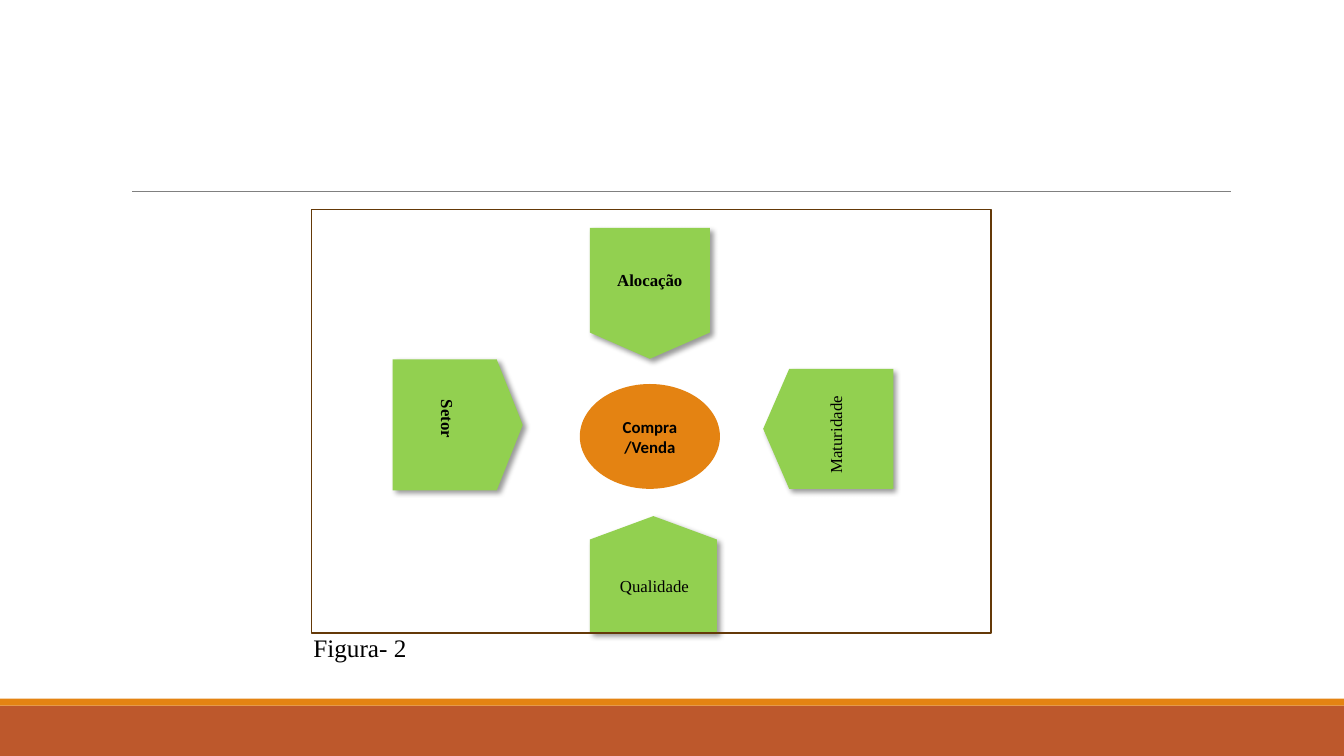
import pptx
import pptx.util
import pptx.dml.color
import pptx.enum.shapes
import pptx.enum.text
import pptx.oxml
import pptx.oxml.ns

RGBColor = pptx.dml.color.RGBColor
SHAPES = pptx.enum.shapes.MSO_SHAPE
BLACK = RGBColor(0x00, 0x00, 0x00)
GREEN = RGBColor(0x92, 0xD0, 0x50)
ORANGE = RGBColor(0xE4, 0x83, 0x12)
RUST = RGBColor(0xBD, 0x58, 0x2C)
BROWN = RGBColor(0x64, 0x39, 0x08)
GRAY = RGBColor(0x80, 0x80, 0x80)
SERIF = "Times New Roman"

# Boxes are left, top, width, height in percent of the slide's size.
FOOTER_BARS = [((0, 93.33, 100, 6.67), RUST), ((0, 92.4, 100, 0.93), ORANGE)]
RULE = (9.83, 25.33, 91.6, 25.33)  # start and end points
ARROWS = [  # box, rotation, text inside
    ((57.16, 48.13, 8.93, 17.2), 90, ""),
    ((43.89, 30.13, 8.93, 17.33), 0, "Alocação"),
    ((29.18, 47.6, 9.75, 17.2), 270, ""),
    ((43.89, 68.27, 9.45, 15.47), 180, ""),
]
CENTER = ((43.14, 50.8, 10.43, 13.87), "Compra /Venda")
LABELS = [  # text, box, rotation, size, bold
    ("Qualidade", (45.39, 75.47, 8.25, 4), 0, 12, False),
    ("Setor", (29.86, 55.73, 6.9, 4), 90, 12, True),
    ("Maturidade", (56.94, 52.67, 10.43, 4), 270, 12, False),
    ("Figura- 2", (22.58, 82.93, 11.85, 5.33), 0, 18, False),
]
FRAME = (23.18, 27.73, 50.56, 56)

SHADOW_XML = (
    '<a:outerShdw xmlns:a="http://schemas.openxmlformats.org/drawingml/2006/main" '
    'blurRad="50800" dist="38100" dir="2700000" algn="tl" rotWithShape="0">'
    '<a:srgbClr val="000000"><a:alpha val="40000"/></a:srgbClr></a:outerShdw>'
)

presentation = pptx.Presentation()
presentation.slide_width = pptx.util.Inches(13.33)
presentation.slide_height = pptx.util.Inches(7.5)
slide = presentation.slides.add_slide(presentation.slide_layouts[6])


def place(box):
    """Turn percentages of the slide into lengths."""
    sides = (presentation.slide_width, presentation.slide_height) * 2
    return [pptx.util.Emu(round(share * side / 100)) for share, side in zip(box, sides)]


def write(shape, text, font=SERIF, size=12, bold=False, align=None, anchor=None):
    frame = shape.text_frame
    frame.word_wrap = True
    frame.vertical_anchor = anchor
    paragraph = frame.paragraphs[0]
    paragraph.alignment = align
    run = paragraph.add_run()
    run.text = text
    run.font.name = font
    run.font.size = pptx.util.Pt(size)
    run.font.bold = bold
    run.font.color.rgb = BLACK


def add_shape(kind, box, fill=None, line=None, width=1.25, rotation=0):
    shape = slide.shapes.add_shape(kind, *place(box))
    shape.rotation = rotation
    shape.shadow.inherit = False
    if fill is None:
        shape.fill.background()
    else:
        shape.fill.solid()
        shape.fill.fore_color.rgb = fill
    if line is None:
        shape.line.fill.background()
    else:
        shape.line.color.rgb = line
        shape.line.width = pptx.util.Pt(width)
    return shape


def add_rule(points):
    rule = slide.shapes.add_connector(
        pptx.enum.shapes.MSO_CONNECTOR.STRAIGHT, *place(points))
    rule.line.color.rgb = GRAY
    rule.line.width = pptx.util.Pt(0.5)
    properties = rule._element.spPr
    properties.append(properties.makeelement(pptx.oxml.ns.qn("a:effectLst"), {}))


def main():
    centered = {"bold": True, "align": pptx.enum.text.PP_ALIGN.CENTER,
                "anchor": pptx.enum.text.MSO_ANCHOR.MIDDLE}
    for box, color in FOOTER_BARS:
        add_shape(SHAPES.RECTANGLE, box, fill=color)
    add_rule(RULE)
    for box, rotation, text in ARROWS:
        arrow = add_shape(SHAPES.FLOWCHART_OFFPAGE_CONNECTOR, box,
                          fill=GREEN, rotation=rotation)
        effects = arrow._element.spPr.find(pptx.oxml.ns.qn("a:effectLst"))
        effects.append(pptx.oxml.parse_xml(SHADOW_XML))
        if text:
            write(arrow, text, **centered)
    box, text = CENTER
    write(add_shape(SHAPES.OVAL, box, fill=ORANGE), text, font="Calibri", **centered)
    for text, box, rotation, size, bold in LABELS:
        label = slide.shapes.add_textbox(*place(box))
        label.rotation = rotation
        write(label, text, size=size, bold=bold)
        label.text_frame.auto_size = pptx.enum.text.MSO_AUTO_SIZE.SHAPE_TO_FIT_TEXT
    add_shape(SHAPES.RECTANGLE, FRAME, line=BROWN)
    presentation.save("out.pptx")


if __name__ == "__main__":
    main()
